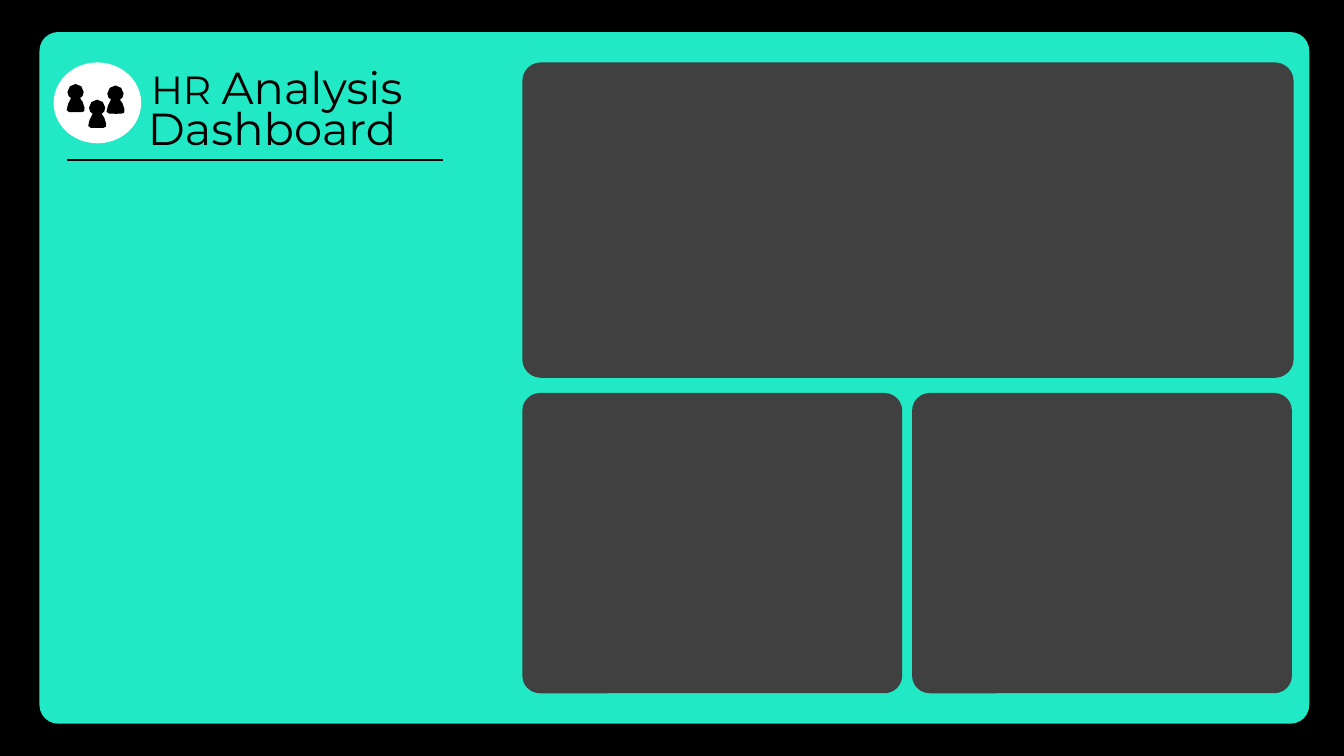
from dataclasses import dataclass

from lxml import etree
from pptx import Presentation
from pptx import util as u
from pptx.dml import color
from pptx.enum import shapes, text
from pptx.oxml import ns

COLORS = {"black": "000000", "teal": "21E9C5", "panel": "404040", "white": "FFFFFF"}
FONT = "Montserrat"
TITLE_ONLY = 5

Point = tuple[float, float]


@dataclass(frozen=True)
class Block:
    kind: shapes.MSO_SHAPE
    left: float
    top: float
    width: float
    height: float
    fill: str
    rounding: float | None = None


# Panel grid: one wide panel above two equal ones
ROUNDED = shapes.MSO_SHAPE.ROUNDED_RECTANGLE
GRID_LEFT, LOWER_TOP = 373.1, 280.7
LOWER_WIDTH, LOWER_HEIGHT, GAP = 271.4, 214.5, 7

BLOCKS = [
    Block(ROUNDED, 28.2, 22.9, 907, 494, "teal", 0.027),
    Block(ROUNDED, GRID_LEFT, 44.6, 550.9, 225.3, "panel", 0.059),
    *(
        Block(ROUNDED, GRID_LEFT + column * (LOWER_WIDTH + GAP), LOWER_TOP,
              LOWER_WIDTH, LOWER_HEIGHT, "panel", 0.059)
        for column in range(2)
    ),
    Block(shapes.MSO_SHAPE.OVAL, 38.3, 44.6, 62.6, 57.8, "white"),
]

# Person outline, clockwise from the top of the head
PERSON: list[Point] = [
    (0, 0), (4.1, 1.7), (5.8, 5.8), (5, 8.6), (3.2, 10.1),
    (5.1, 12.9), (6.4, 17), (6.2, 19.4), (4.5, 20.1), (0.5, 20.2),
    (-4.6, 20.1), (-6.4, 18.7), (-5.3, 14.2), (-3.2, 10.1),
    (-5, 8.6), (-5.8, 5.8), (-4.1, 1.7),
]
PERSON_TOPS: list[Point] = [(69.4, 71.2), (82.5, 61.1), (54, 60)]


def rgb(name: str) -> color.RGBColor:
    return color.RGBColor.from_string(COLORS[name])


def paint(shape, fill: str) -> None:
    shape.fill.solid()
    shape.fill.fore_color.rgb = rgb(fill)
    shape.line.fill.background()
    shape.shadow.inherit = False


def add_block(slide, block: Block) -> None:
    shape = slide.shapes.add_shape(
        block.kind, u.Pt(block.left), u.Pt(block.top), u.Pt(block.width), u.Pt(block.height))
    if block.rounding is not None:
        shape.adjustments[0] = block.rounding
    paint(shape, block.fill)


def add_people(slide, tops: list[Point]) -> None:
    builder = None
    for left, top in tops:
        start, *rest = [(u.Pt(left + x), u.Pt(top + y)) for x, y in PERSON]
        if builder is None:
            builder = slide.shapes.build_freeform(*start)
        else:
            builder.move_to(*start)
        builder.add_line_segments(rest, close=True)
    paint(builder.convert_to_shape(), "black")


def write_text(shape, runs: list[tuple[str, float]], *, left: float, top: float,
               width: float, height: float, fill: str = "black") -> None:
    shape.left, shape.top = u.Pt(left), u.Pt(top)
    shape.width, shape.height = u.Pt(width), u.Pt(height)
    frame = shape.text_frame
    frame.word_wrap = True
    frame.auto_size = text.MSO_AUTO_SIZE.SHAPE_TO_FIT_TEXT
    frame.vertical_anchor = text.MSO_ANCHOR.TOP
    paragraph = frame.paragraphs[0]
    paragraph.alignment = text.PP_ALIGN.LEFT
    paragraph.line_spacing = 1.0
    paragraph.space_before = u.Pt(0)
    for words, size in runs:
        run = paragraph.add_run()
        run.text = words
        run.font.name = FONT
        run.font.size = u.Pt(size)
        run.font.color.rgb = rgb(fill)


def add_rule(slide, left: float, right: float, y: float) -> None:
    rule = slide.shapes.add_connector(
        shapes.MSO_CONNECTOR.STRAIGHT, u.Pt(left), u.Pt(y), u.Pt(right), u.Pt(y))
    rule.line.color.rgb = rgb("black")
    rule.line.width = u.Pt(1.5)
    etree.SubElement(rule.element.spPr, ns.qn("a:effectLst"))


def main() -> None:
    presentation = Presentation()
    presentation.slide_width, presentation.slide_height = u.Pt(960), u.Pt(540)
    slide = presentation.slides.add_slide(presentation.slide_layouts[TITLE_ONLY])
    slide.background.fill.solid()
    slide.background.fill.fore_color.rgb = rgb("black")

    # Panels and badge
    for block in BLOCKS:
        add_block(slide, block)
    add_people(slide, PERSON_TOPS)

    # Heading, with the title brought in front of the panels
    title = slide.shapes.title
    title.element.getparent().append(title.element)
    write_text(title, [("HR ", 28), ("Analysis", 32)],
               left=100.8, top=39.1, width=223.2, height=46)
    second_line = slide.shapes.add_textbox(u.Pt(0), u.Pt(0), u.Pt(0), u.Pt(0))
    write_text(second_line, [("Dashboard", 32)],
               left=98.6, top=68.4, width=205.2, height=46)
    add_rule(slide, 47.6, 316.2, 114.3)

    presentation.save("out.pptx")


if __name__ == "__main__":
    main()
